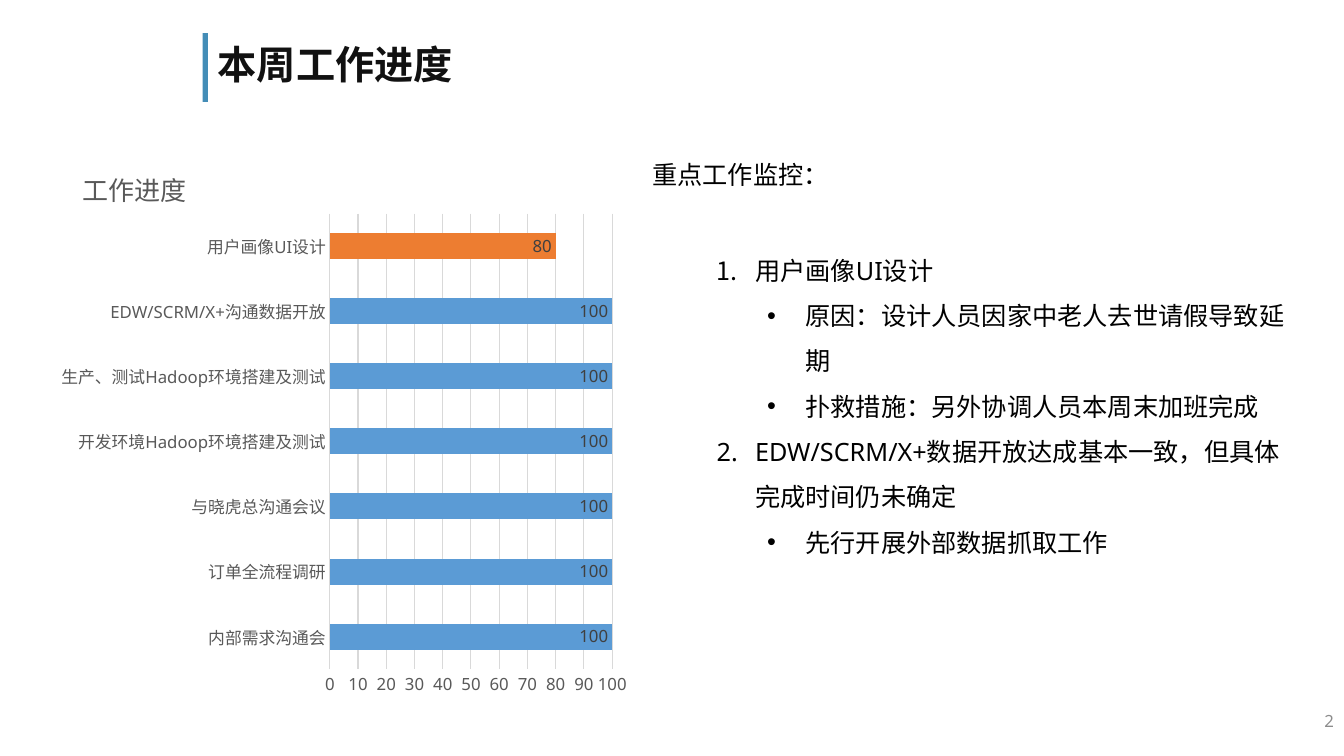
from typing import NamedTuple

from pptx import Presentation, util as u
from pptx.chart.data import CategoryChartData
from pptx.dml.color import RGBColor
from pptx.enum import chart as ch, shapes, text
from pptx.oxml import parse_xml
from pptx.oxml.ns import nsdecls

ACCENT = RGBColor(0x44, 0x8D, 0xB7)
BLUE = RGBColor(0x5B, 0x9B, 0xD5)
ORANGE = RGBColor(0xED, 0x7D, 0x31)
INK = RGBColor(0x11, 0x11, 0x11)
BLACK = RGBColor(0, 0, 0)
LABEL = RGBColor(0x40, 0x40, 0x40)
AXIS = RGBColor(0x59, 0x59, 0x59)
PAGE = RGBColor(0x8C, 0x8C, 0x8C)
GRID = RGBColor(0xD9, 0xD9, 0xD9)
SANS, CJK = "Noto Sans", "Noto Sans CJK SC"

prs = Presentation()
prs.slide_width, prs.slide_height = u.Inches(13.33), u.Inches(7.5)


class Box(NamedTuple):
    """Left, top, width and height in percent of the slide's size."""
    x: float
    y: float
    w: float
    h: float

    def emu(self) -> list[int]:
        sides = (prs.slide_width, prs.slide_height) * 2
        return [int(side * share / 100) for side, share in zip(sides, self)]


class Task(NamedTuple):
    name: str
    done: int


class Item(NamedTuple):
    text: str
    level: int = 0


RULE = Box(15.08, 4.4, 0.38, 9.07)
TITLE = Box(15.45, 4.4, 69, 8.8)
NUMBER = Box(77.5, 92.67, 22.5, 5.33)
CHART = Box(3.08, 17.6, 44.71, 76.27)
HEADING = Box(47.79, 20.4, 14.78, 5.33)
NOTES = Box(52.59, 31.07, 44.11, 43.73)

TASKS = [
    Task("内部需求沟通会", 100),
    Task("订单全流程调研", 100),
    Task("与晓虎总沟通会议", 100),
    Task("开发环境Hadoop环境搭建及测试", 100),
    Task("生产、测试Hadoop环境搭建及测试", 100),
    Task("EDW/SCRM/X+沟通数据开放", 100),
    Task("用户画像UI设计", 80),
]
ITEMS = [
    Item("用户画像UI设计"),
    Item("原因：设计人员因家中老人去世请假导致延期", 1),
    Item("扑救措施：另外协调人员本周末加班完成", 1),
    Item("EDW/SCRM/X+数据开放达成基本一致，但具体完成时间仍未确定"),
    Item("先行开展外部数据抓取工作", 1),
]
INDENTS = (0.38, 0.88)
BULLETS = (
    f'<a:buFont {nsdecls("a")} typeface="+mj-lt"/>',
    f'<a:buFont {nsdecls("a")} typeface="Arial"/>',
)
MARKS = (
    f'<a:buAutoNum {nsdecls("a")} type="arabicPeriod"/>',
    f'<a:buChar {nsdecls("a")} char="•"/>',
)


def style(font, size: float, color: RGBColor, name: str = SANS, bold: bool = False) -> None:
    font.size, font.name, font.bold = u.Pt(size), name, bold
    font.color.rgb = color


def write(p, content: str, *, size: float = 18, color: RGBColor = BLACK, name: str = SANS,
          bold: bool = False, align=text.PP_ALIGN.LEFT, spacing: float = 1.0) -> None:
    r = p.add_run()
    r.text = content
    style(r.font, size, color, name, bold)
    r.font._element.append(parse_xml(f'<a:ea {nsdecls("a")} typeface="{CJK}"/>'))
    p.alignment, p.line_spacing = align, spacing


def add_box(box: Box, wrap: bool = True, anchor=text.MSO_ANCHOR.TOP):
    tf = s.shapes.add_textbox(*box.emu()).text_frame
    tf.word_wrap, tf.vertical_anchor = wrap, anchor
    return tf


def mark(p, level: int) -> None:
    """Number the main points and bullet the details."""
    p.level = level
    pPr = p._p.get_or_add_pPr()
    pPr.set("marL", str(u.Inches(INDENTS[level])))
    pPr.set("indent", str(-u.Inches(INDENTS[0])))
    for xml in (BULLETS[level], MARKS[level]):
        pPr.append(parse_xml(xml))


def place(parent, x: float, y: float, size: str = "", target: str = "") -> None:
    """Fix a chart part at shares of the chart's size."""
    for old in parent.findall("{*}layout"):
        parent.remove(old)
    layout = parse_xml(
        f'<c:layout {nsdecls("c")}><c:manualLayout>{target}'
        '<c:xMode val="edge"/><c:yMode val="edge"/>'
        f'<c:x val="{x}"/><c:y val="{y}"/>{size}</c:manualLayout></c:layout>')
    tx = parent.find("{*}tx")
    parent.insert(0 if tx is None else 1, layout)


def add_progress_chart(box: Box, tasks: list[Task]) -> None:
    data = CategoryChartData(number_format="0")
    data.categories = [task.name for task in tasks]
    data.add_series("Series 1", [task.done for task in tasks])
    chart = s.shapes.add_chart(ch.XL_CHART_TYPE.BAR_STACKED, *box.emu(), data).chart
    style(chart.font, 10, BLACK)
    chart.has_legend = False

    # Chart title and plot area
    chart.has_title = True
    write(chart.chart_title.text_frame.paragraphs[0], "工作进度", size=18.6, color=AXIS)
    chart.chart_title.include_in_layout = False
    place(chart.chart_title._element, 0.06, 0.05)
    place(chart._chartSpace.chart.plotArea, 0.48, 0.14,
          '<c:w val="0.47"/><c:h val="0.79"/>', '<c:layoutTarget val="inner"/>')

    # Bars and their values
    plot = chart.plots[0]
    plot.gap_width, plot.overlap, plot.vary_by_categories = 150, 100, False
    bars = plot.series[0]
    for i, task in enumerate(tasks):
        fill = bars.points[i].format.fill
        fill.solid()
        fill.fore_color.rgb = BLUE if task.done == 100 else ORANGE
    plot.has_data_labels = True
    labels = plot.data_labels
    labels.show_value, labels.position = True, ch.XL_LABEL_POSITION.INSIDE_END
    style(labels.font, 12, LABEL)

    # Axes and gridlines
    cat, val = chart.category_axis, chart.value_axis
    for axis in (cat, val):
        axis.major_tick_mark = axis.minor_tick_mark = ch.XL_TICK_MARK.NONE
        style(axis.tick_labels.font, 12, AXIS)
    val.minimum_scale, val.maximum_scale, val.major_unit = 0, 100, 10
    val.format.line.fill.background()
    val.has_major_gridlines = True
    for line in (cat.format.line, val.major_gridlines.format.line):
        line.color.rgb, line.width = GRID, u.Pt(0.75)


# Title with its accent rule
s = prs.slides.add_slide(prs.slide_layouts[5])
sp = s.shapes.add_shape(shapes.MSO_SHAPE.RECTANGLE, *RULE.emu())
sp.shadow.inherit = False
sp.fill.solid()
sp.fill.fore_color.rgb = ACCENT
sp.line.fill.background()
title = s.shapes.title
title.left, title.top, title.width, title.height = TITLE.emu()
title.text_frame.vertical_anchor = text.MSO_ANCHOR.MIDDLE
write(title.text_frame.paragraphs[0], "本周工作进度", size=28, color=INK, name=CJK,
      bold=True, spacing=0.9)

# Progress of the tasks
add_progress_chart(CHART, TASKS)

# Points to watch
write(add_box(HEADING, wrap=False).paragraphs[0], "重点工作监控：")
tf = add_box(NOTES)
for i, item in enumerate(ITEMS):
    p = tf.add_paragraph() if i else tf.paragraphs[0]
    write(p, item.text, spacing=1.5)
    mark(p, item.level)

# Slide number
write(add_box(NUMBER, anchor=text.MSO_ANCHOR.MIDDLE).paragraphs[0], "2", size=12,
      color=PAGE, align=text.PP_ALIGN.RIGHT)

prs.save("out.pptx")
